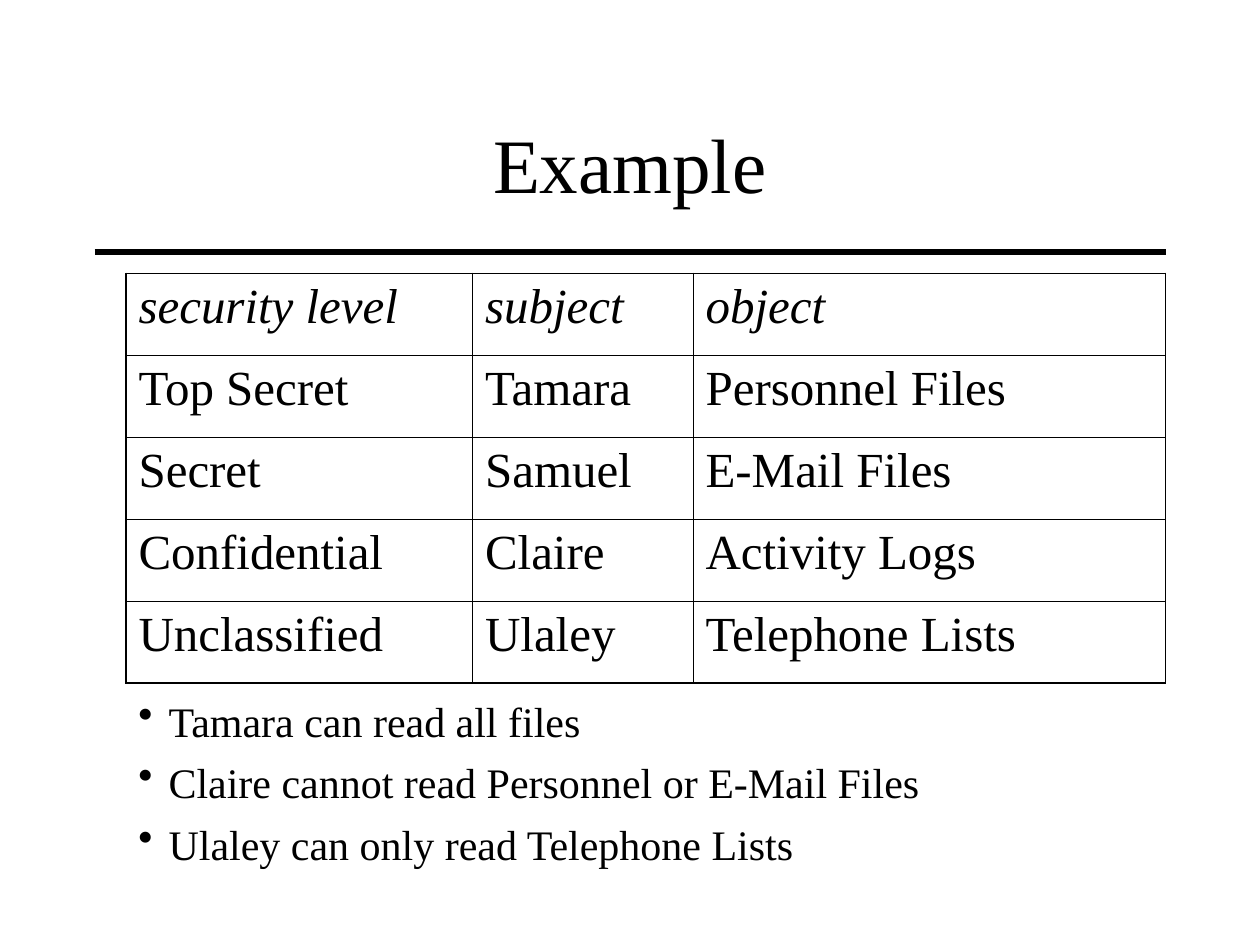
from lxml import etree
from pptx import Presentation
from pptx.dml.color import RGBColor
from pptx.enum.shapes import MSO_CONNECTOR
from pptx.enum.text import MSO_ANCHOR, PP_ALIGN
from pptx.oxml.ns import qn
from pptx.util import Inches, Pt

COLORS = {"ink": "000000", "paper": "FFFFFF"}
FONT = "Times New Roman"
THICK, THIN = 1.08, 0.45

ROWS = [
    ["security level", "subject", "object"],
    ["Top Secret", "Tamara", "Personnel Files"],
    ["Secret", "Samuel", "E-Mail Files"],
    ["Confidential", "Claire", "Activity Logs"],
    ["Unclassified", "Ulaley", "Telephone Lists"],
]
COLUMN_WIDTHS = [2.75, 1.75, 3.75]
RULES = [
    "Tamara can read all files",
    "Claire cannot read Personnel or E-Mail Files",
    "Ulaley can only read Telephone Lists",
]


def color(name):
    return RGBColor.from_string(COLORS[name])


def write_text(paragraph, text, size, italic=False, align=PP_ALIGN.LEFT):
    paragraph.alignment = align
    run = paragraph.add_run()
    run.text = text
    run.font.name = FONT
    run.font.size = Pt(size)
    run.font.italic = italic
    run.font.color.rgb = color("ink")


def add_bullet(paragraph, indent):
    properties = paragraph._p.get_or_add_pPr()
    properties.set("marL", str(indent))
    properties.set("indent", str(-indent))
    bullet_color = etree.SubElement(properties, qn("a:buClr"))
    etree.SubElement(bullet_color, qn("a:srgbClr"), val=COLORS["ink"])
    etree.SubElement(properties, qn("a:buChar"), char="•")


def set_borders(cell, widths):
    """Draw the cell's borders; widths are left, right, top, bottom in points."""
    properties = cell._tc.get_or_add_tcPr()
    for side, width in zip("LRTB", widths):
        line = etree.SubElement(properties, qn(f"a:ln{side}"), w=str(Pt(width)))
        fill = etree.SubElement(line, qn("a:solidFill"))
        etree.SubElement(fill, qn("a:srgbClr"), val=COLORS["ink"])


def place_title(slide, left, top, width, height):
    title = slide.shapes.title
    title.left, title.top = Inches(left), Inches(top)
    title.width, title.height = Inches(width), Inches(height)
    frame = title.text_frame
    frame.vertical_anchor = MSO_ANCHOR.MIDDLE
    write_text(frame.paragraphs[0], "Example", size=44, align=PP_ALIGN.CENTER)


def add_divider(slide, left, top, width):
    line = slide.shapes.add_connector(
        MSO_CONNECTOR.STRAIGHT,
        Inches(left), Inches(top), Inches(left + width), Inches(top))
    line.line.color.rgb = color("ink")
    line.line.width = Pt(3)
    etree.SubElement(line._element.spPr, qn("a:effectLst"))


def add_level_table(slide, left, top, width, height):
    last_row, last_column = len(ROWS) - 1, len(COLUMN_WIDTHS) - 1
    table = slide.shapes.add_table(
        len(ROWS), len(COLUMN_WIDTHS),
        Inches(left), Inches(top), Inches(width), Inches(height)).table
    table.first_row = table.horz_banding = False
    for column, column_width in zip(table.columns, COLUMN_WIDTHS):
        column.width = Inches(column_width)
    for row, texts in enumerate(ROWS):
        for column, text in enumerate(texts):
            cell = table.cell(row, column)
            write_text(cell.text_frame.paragraphs[0], text, size=28, italic=row == 0)
            # Thick outer frame, thin inner grid
            outer = (column == 0, column == last_column, row == 0, row == last_row)
            set_borders(cell, [THICK if edge else THIN for edge in outer])
            cell.fill.background()


def add_rules(slide, left, top, width, height):
    box = slide.shapes.add_textbox(
        Inches(left), Inches(top), Inches(width), Inches(height))
    frame = box.text_frame
    frame.word_wrap = True
    for index, text in enumerate(RULES):
        paragraph = frame.add_paragraph() if index else frame.paragraphs[0]
        add_bullet(paragraph, Inches(0.24))
        paragraph.line_spacing = 0.7
        if index:
            paragraph.space_before = Pt(15)
        write_text(paragraph, text, size=24)


def main():
    presentation = Presentation()
    presentation.slide_width, presentation.slide_height = Inches(10), Inches(7.5)
    slide = presentation.slides.add_slide(presentation.slide_layouts[5])
    slide.background.fill.solid()
    slide.background.fill.fore_color.rgb = color("paper")

    # Heading
    add_divider(slide, 0.75, 2, 8.5)
    place_title(slide, 0.75, 0.67, 8.5, 1.25)

    # Security levels and what follows from them
    add_level_table(slide, 1, 2.17, sum(COLUMN_WIDTHS), 0.65 * len(ROWS))
    add_rules(slide, 1, 5.58, 8.23, 1.36)

    presentation.save("out.pptx")


if __name__ == "__main__":
    main()
